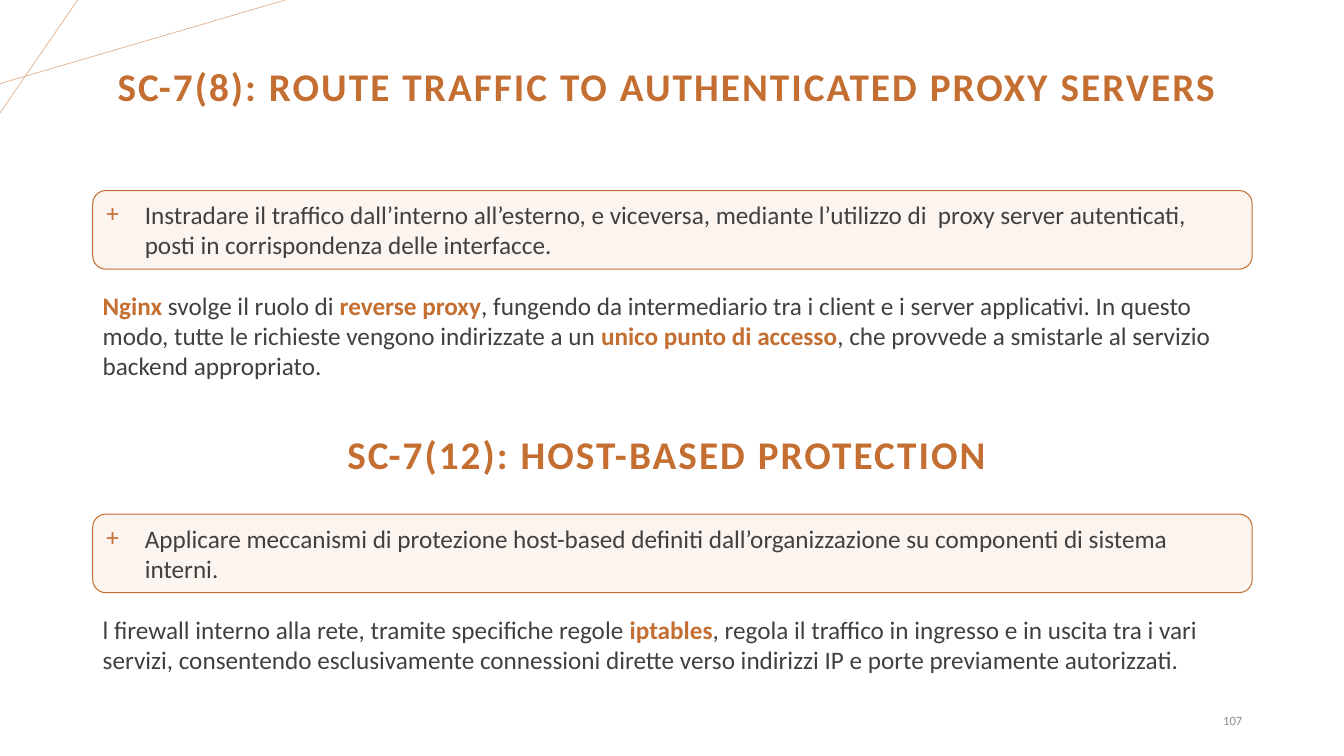
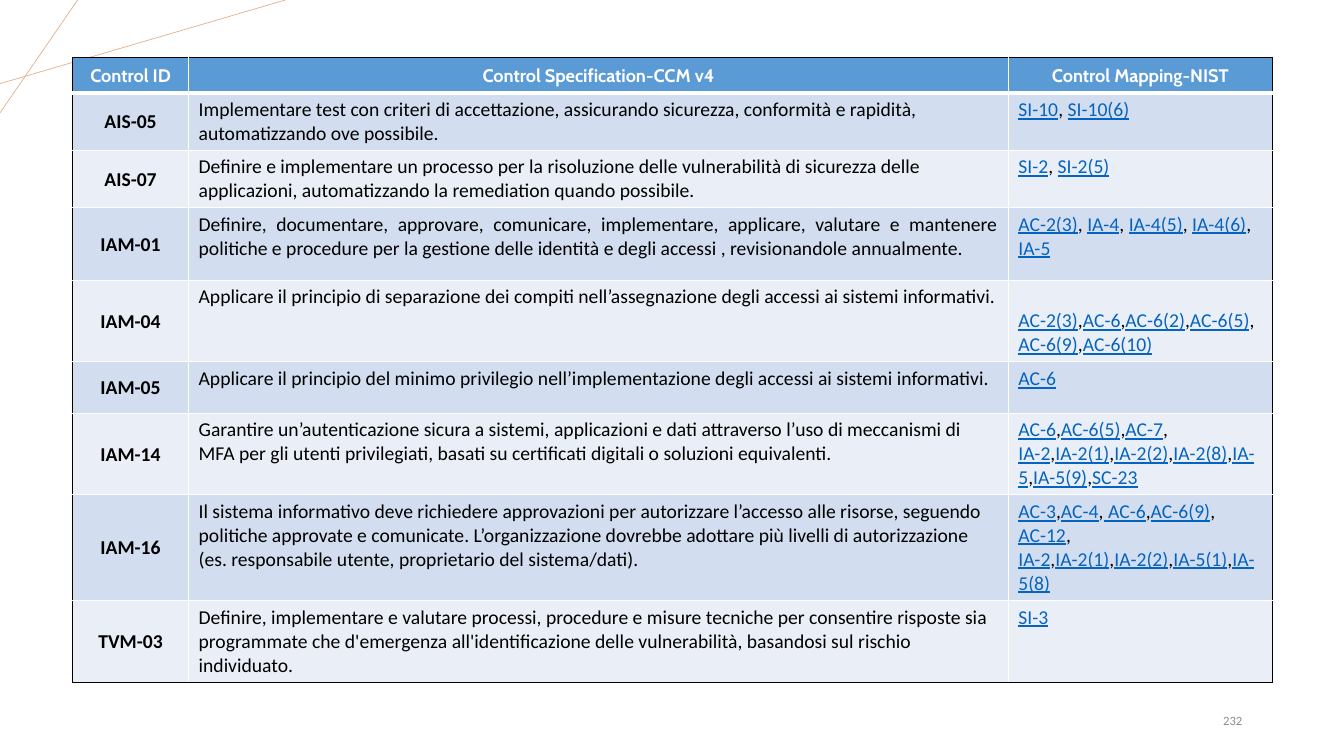
from lxml.etree import SubElement
from pptx import Presentation
from pptx.dml.color import RGBColor
from pptx.enum.shapes import MSO_CONNECTOR, MSO_SHAPE
from pptx.enum.text import MSO_ANCHOR, PP_ALIGN
from pptx.oxml import parse_xml
from pptx.oxml.ns import nsdecls, qn
from pptx.util import Inches, Pt

HUES = {
    "accent": "C46E31", "pale": "FBF4EF", "thread": "E2B18D",
    "text": "404040", "gray": "8C8C8C", "black": "000000",
    "white": "FFFFFF", "link": "0563C1", "head": "5B9BD5",
    "odd": "D2DEEF", "even": "EAEFF7",
}
LEFT, WIDTH = 0.92, 11.5
BODY = {"size": Pt(18), "name": "Calibri"}
CELL = {"size": Pt(14), "name": "Calibri"}
HEAD = {"size": Pt(13), "name": "Cabin", "bold": True}
TITLE = {"size": Pt(28), "name": "Calibri", "bold": True}
NUMBER = {"size": Pt(9), "name": "Calibri"}


def hue(name):
    return RGBColor.from_string(HUES[name])


class Deck:
    """Hold the shared style and the current slide."""

    def __init__(self):
        self.file = Presentation()
        self.file.slide_width = Inches(13.33)
        self.file.slide_height = Inches(7.5)

    def start(self, number):
        self.slide = self.file.slides.add_slide(self.file.slide_layouts[6])
        self.thread(0, 0.83, 2.83, 0)
        self.thread(0.77, 0, 0, 1.12)
        frame = self.frame(9.42, 6.95, 3, 0.4, MSO_ANCHOR.MIDDLE)
        self.label(frame, str(number), NUMBER, "gray", PP_ALIGN.RIGHT)

    def thread(self, *ends):
        line = self.slide.shapes.add_connector(
            MSO_CONNECTOR.STRAIGHT, *map(Inches, ends))
        line.line.color.rgb = hue("thread")
        line.line.width = Pt(0.5)
        SubElement(line._element.spPr, qn("a:effectLst"))

    def frame(self, left, top, width, height, anchor=MSO_ANCHOR.TOP):
        box = self.slide.shapes.add_textbox(
            *map(Inches, (left, top, width, height)))
        frame = box.text_frame
        frame.word_wrap = True
        frame.vertical_anchor = anchor
        return frame

    def label(self, frame, text, style, shade, align=PP_ALIGN.LEFT, mark=None):
        para = frame.paragraphs[0]
        para.alignment = align
        for spot, part in enumerate(text.split("*")):
            form = {**style, **mark} if spot % 2 else dict(style)
            tint = form.pop("hue", shade)
            for row, piece in enumerate(part.split("\n")):
                if row:
                    para.add_line_break()
                if piece:
                    run = para.add_run()
                    run.text = piece
                    for name, value in form.items():
                        setattr(run.font, name, value)
                    run.font.color.rgb = hue(tint)
        return para

    def title(self, text, top, height):
        frame = self.frame(LEFT, top, WIDTH, height, MSO_ANCHOR.MIDDLE)
        para = self.label(frame, text, TITLE, "accent", PP_ALIGN.CENTER)
        para.line_spacing = 0.9
        for run in para.runs:
            run._r.get_or_add_rPr().set("spc", "150")

    def panel(self, text, top):
        box = self.slide.shapes.add_shape(
            MSO_SHAPE.ROUNDED_RECTANGLE,
            *map(Inches, (LEFT, top, WIDTH, 0.78)))
        box.shadow.inherit = False
        box.fill.solid()
        box.fill.fore_color.rgb = hue("pale")
        box.line.color.rgb = hue("accent")
        box.line.width = Pt(0.75)
        frame = box.text_frame
        frame.word_wrap = True
        frame.vertical_anchor = MSO_ANCHOR.TOP
        para = self.label(frame, text, BODY, "text")
        props = para._p.get_or_add_pPr()
        props.set("marL", str(Inches(0.38)))
        props.set("indent", str(-Inches(0.38)))
        tint = SubElement(props, qn("a:buClr"))
        SubElement(tint, qn("a:srgbClr"), val=HUES["accent"])
        SubElement(props, qn("a:buFont"), typeface="Calibri")
        SubElement(props, qn("a:buChar"), char="+")

    def body(self, text, top, height):
        frame = self.frame(LEFT, top, WIDTH, height)
        self.label(frame, text, BODY, "text",
                   mark={"hue": "accent", "bold": True})

    def border(self, cell, sides):
        props = cell._tc.get_or_add_tcPr()
        for spot, (side, (shade, width)) in enumerate(sides.items()):
            props.insert(spot, parse_xml(
                f'<a:ln{side} {nsdecls("a")} w="{Pt(width)}"><a:solidFill>'
                f'<a:srgbClr val="{HUES[shade]}"/></a:solidFill></a:ln{side}>'))

    def table(self, rows, left, top, widths, heights):
        grid = self.slide.shapes.add_table(
            len(rows), len(widths),
            *map(Inches, (left, top, sum(widths), sum(heights)))).table
        for col, width in zip(grid.columns, widths):
            col.width = Inches(width)
        for row, height in zip(grid.rows, heights):
            row.height = Inches(height)
        last, end = len(rows) - 1, len(widths) - 1
        for y, texts in enumerate(rows):
            for x, text in enumerate(texts):
                cell = grid.cell(y, x)
                cell.fill.solid()
                cell.fill.fore_color.rgb = hue(
                    "head" if y == 0 else "odd" if y % 2 else "even")
                self.border(cell, {
                    "L": ("white" if x else "black", 1),
                    "R": ("black" if x == end else "white", 1),
                    "T": ("white" if y else "black", 1),
                    "B": ("black" if y == last else "white", 1 if y else 3),
                })
                style, align = CELL, PP_ALIGN.LEFT
                if y == 0 or x == 0:
                    style = {**CELL, "bold": True} if y else HEAD
                    align = PP_ALIGN.CENTER
                    form = {"margin_left": Inches(0.01),
                            "margin_right": Inches(0.01),
                            "margin_top": Inches(0.01), "margin_bottom": 0,
                            "vertical_anchor": MSO_ANCHOR.MIDDLE}
                    for name, value in form.items():
                        setattr(cell, name, value)
                self.label(cell.text_frame, text, style,
                           "black" if y else "white", align,
                           {"hue": "link", "underline": True})
        return grid


ROWS = [
    ("Control ID", "Control Specification-CCM v4", "Control Mapping-NIST"),
    ("AIS-05", "Implementare test con criteri di accettazione, assicurando "
     "sicurezza, conformità e rapidità, automatizzando ove possibile.",
     "*SI-10*, *SI-10(6)*"),
    ("AIS-07", "Definire e implementare un processo per la risoluzione delle "
     "vulnerabilità di sicurezza delle applicazioni, automatizzando la "
     "remediation quando possibile.",
     "*SI-2*, *SI-2(5)*"),
    ("IAM-01", "Definire, documentare, approvare, comunicare, implementare, "
     "applicare, valutare e mantenere politiche e procedure per la gestione "
     "delle identità e degli accessi , revisionandole annualmente.",
     "*AC-2(3)*, *IA-4*, *IA-4(5)*, *IA-4(6)*,\n*IA-5*"),
    ("IAM-04", "Applicare il principio di separazione dei compiti "
     "nell’assegnazione degli accessi ai sistemi informativi.",
     "*AC-2(3)*,*AC-6*,*AC-6(2)*,*AC-6(5)*,\n*AC-6(9)*,*AC-6(10)*"),
    ("IAM-05", "Applicare il principio del minimo privilegio "
     "nell’implementazione degli accessi ai sistemi informativi.",
     "*AC-6*"),
    ("IAM-14", "Garantire un’autenticazione sicura a sistemi, applicazioni e "
     "dati attraverso l’uso di meccanismi di MFA per gli utenti privilegiati, "
     "basati su certificati digitali o soluzioni equivalenti.",
     "*AC-6*,*AC-6(5)*,*AC-7*,\n*IA-2*,*IA-2(1)*,*IA-2(2)*,*IA-2(8)*,*IA-\n5*,"
     "*IA-5(9)*,*SC-23*"),
    ("IAM-16", "Il sistema informativo deve richiedere approvazioni per "
     "autorizzare l’accesso alle risorse, seguendo politiche approvate e "
     "comunicate. L’organizzazione dovrebbe adottare più livelli di "
     "autorizzazione (es. responsabile utente, proprietario del "
     "sistema/dati).",
     "*AC-3*,*AC-4*,* AC-6*,*AC-6(9)*,\n*AC-12*,\n"
     "*IA-2*,*IA-2(1)*,*IA-2(2)*,*IA-5(1)*,*IA-\n5(8)*"),
    ("TVM-03", "Definire, implementare e valutare processi, procedure e misure "
     "tecniche per consentire risposte sia programmate che d'emergenza "
     "all'identificazione delle vulnerabilità, basandosi sul rischio "
     "individuato.",
     "*SI-3*"),
]


def main():
    deck = Deck()
    deck.start(107)
    deck.title("SC-7(8): ROUTE TRAFFIC TO AUTHENTICATED PROXY SERVERS ",
               0.39, 0.98)
    deck.panel("Instradare il traffico dall’interno all’esterno, e viceversa, "
               "mediante l’utilizzo di  proxy server autenticati, posti in "
               "corrispondenza delle interfacce.", 1.89)
    deck.body("*Nginx* svolge il ruolo di *reverse proxy*, fungendo da "
              "intermediario tra i client e i server applicativi. In questo "
              "modo, tutte le richieste vengono indirizzate a un *unico punto "
              "di accesso*, che provvede a smistarle al servizio backend "
              "appropriato.", 2.83, 1.01)
    deck.title("SC-7(12): HOST-BASED PROTECTION ", 3.81, 1.45)
    deck.panel("Applicare meccanismi di protezione host-based definiti "
               "dall’organizzazione su componenti di sistema interni.", 5.1)
    deck.body("l firewall interno alla rete, tramite specifiche regole "
              "*iptables*, regola il traffico in ingresso e in uscita tra i "
              "vari servizi, consentendo esclusivamente connessioni dirette "
              "verso indirizzi IP e porte previamente autorizzati.",
              6.04, 0.71)

    deck.start(232)
    grid = deck.table(ROWS, 0.72, 0.57, (1.15, 8.13, 2.62),
                      (0.35, 0.57, 0.57, 0.72, 0.81, 0.51, 0.81, 1.05, 0.81))
    grid.cell(3, 1).text_frame.paragraphs[0].alignment = PP_ALIGN.JUSTIFY
    grid.cell(4, 2).vertical_anchor = MSO_ANCHOR.BOTTOM
    deck.file.save("out.pptx")


if __name__ == "__main__":
    main()
